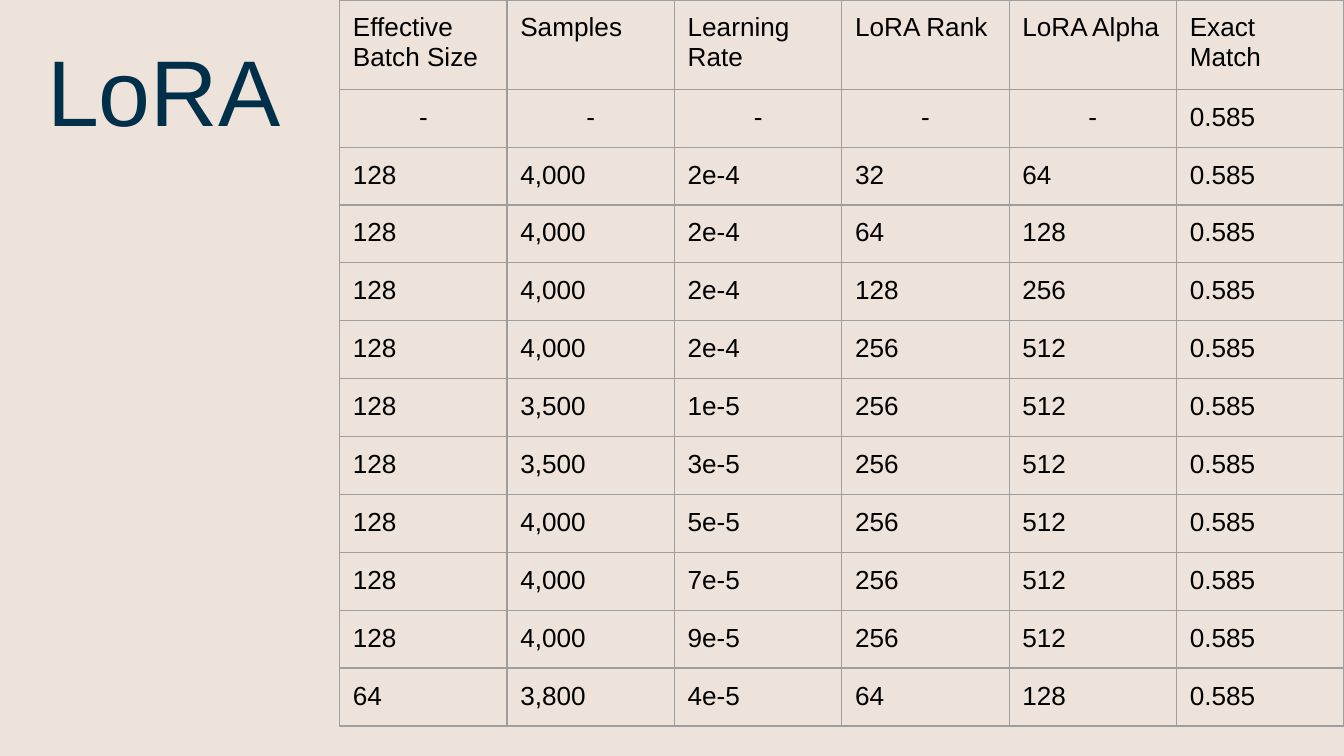
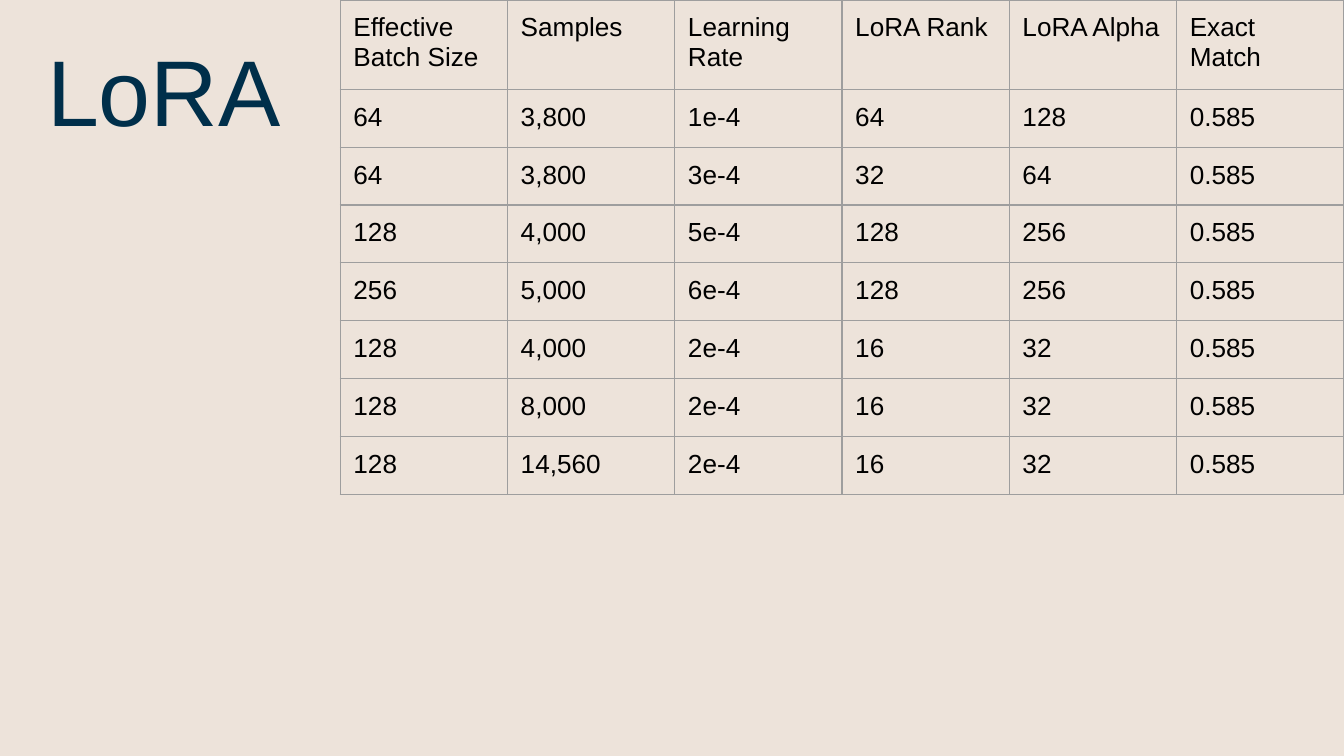
"""Build two slides of LoRA fine-tuning results."""
from dataclasses import dataclass

from lxml import etree
from pptx import Presentation
from pptx.dml.color import RGBColor
from pptx.enum.text import MSO_ANCHOR, PP_ALIGN
from pptx.oxml.ns import qn
from pptx.util import Cm, Pt

MIDDLE = MSO_ANCHOR.MIDDLE
LEFT, CENTER = PP_ALIGN.LEFT, PP_ALIGN.CENTER

TITLE = "LoRA"
HEADS = ("Effective Batch Size", "Samples", "Learning Rate",
         "LoRA Rank", "LoRA Alpha", "Exact Match")
SLIDES = [
    {"left": 6.42, "runs": [
        ("-", "-", "-", "-", "-", "0.585"),
        ("128", "4,000", "2e-4", "32", "64", "0.585"),
        ("128", "4,000", "2e-4", "64", "128", "0.585"),
        ("128", "4,000", "2e-4", "128", "256", "0.585"),
        ("128", "4,000", "2e-4", "256", "512", "0.585"),
        ("128", "3,500", "1e-5", "256", "512", "0.585"),
        ("128", "3,500", "3e-5", "256", "512", "0.585"),
        ("128", "4,000", "5e-5", "256", "512", "0.585"),
        ("128", "4,000", "7e-5", "256", "512", "0.585"),
        ("128", "4,000", "9e-5", "256", "512", "0.585"),
        ("64", "3,800", "4e-5", "64", "128", "0.585"),
    ]},
    {"left": 6.43, "runs": [
        ("64", "3,800", "1e-4", "64", "128", "0.585"),
        ("64", "3,800", "3e-4", "32", "64", "0.585"),
        ("128", "4,000", "5e-4", "128", "256", "0.585"),
        ("256", "5,000", "6e-4", "128", "256", "0.585"),
        ("128", "4,000", "2e-4", "16", "32", "0.585"),
        ("128", "8,000", "2e-4", "16", "32", "0.585"),
        ("128", "14,560", "2e-4", "16", "32", "0.585"),
    ]},
]


@dataclass(frozen=True)
class Theme:
    """Colours, type and line sizes."""
    paper: str = "EDE3DA"
    navy: str = "002F4A"
    ink: str = "000000"
    rule: str = "9E9E9E"
    face: str = "Arial"
    head: int = 50
    body: int = 14
    line: float = 0.75


THEME = Theme()
WIDE, HIGH = 25.4, 14.29
HEAD_ROW, BODY_ROW = 1.61, 1.06
INSET = {f"margin_{side}": Cm(0.25)
         for side in ("left", "top", "right", "bottom")}


def apply(item, values):
    """Set each named attribute."""
    for name, value in values.items():
        setattr(item, name, value)


def write(frame, text, size, color, align=LEFT):
    """Fill a frame with one styled paragraph."""
    para = frame.paragraphs[0]
    para.alignment = align
    run = para.add_run()
    run.text = text
    apply(run.font, {"name": THEME.face, "size": Pt(size), "bold": False})
    run.font.color.rgb = RGBColor.from_string(color)


def edge(cell):
    """Rule all four sides of a cell."""
    props = cell._tc.get_or_add_tcPr()
    for side in ("lnL", "lnR", "lnT", "lnB"):
        line = etree.SubElement(props, qn(f"a:{side}"), w=str(Pt(THEME.line)))
        fill = etree.SubElement(line, qn("a:solidFill"))
        etree.SubElement(fill, qn("a:srgbClr"), val=THEME.rule)


def add_title(slide):
    """Place the slide title."""
    frame = slide.shapes.add_textbox(
        Cm(0.64), Cm(0.25), Cm(23.37), Cm(2.87)).text_frame
    apply(frame, {"word_wrap": True, "vertical_anchor": MIDDLE, **INSET})
    write(frame, TITLE, THEME.head, THEME.navy)


def add_grid(slide, left, runs):
    """Place a results table that reaches the right edge."""
    rows = [HEADS, *runs]
    wide = WIDE - left
    high = HEAD_ROW + BODY_ROW * len(runs)
    table = slide.shapes.add_table(
        len(rows), len(HEADS), Cm(left), 0, Cm(wide), Cm(high)).table
    apply(table, {"first_row": False, "horz_banding": False})
    for col in table.columns:
        col.width = Cm(wide / len(HEADS))
    for r, row in enumerate(rows):
        table.rows[r].height = Cm(BODY_ROW if r else HEAD_ROW)
        for c, text in enumerate(row):
            cell = table.cell(r, c)
            apply(cell, INSET)
            edge(cell)
            cell.fill.background()
            align = CENTER if text == "-" else LEFT
            write(cell.text_frame, text, THEME.body, THEME.ink, align)


def main():
    """Build and save the deck."""
    deck = Presentation()
    apply(deck, {"slide_width": Cm(WIDE), "slide_height": Cm(HIGH)})
    fill = deck.slide_master.background.fill
    fill.solid()
    fill.fore_color.rgb = RGBColor.from_string(THEME.paper)
    for data in SLIDES:
        slide = deck.slides.add_slide(deck.slide_layouts[6])
        add_title(slide)
        add_grid(slide, **data)
    deck.save("out.pptx")


if __name__ == "__main__":
    main()
